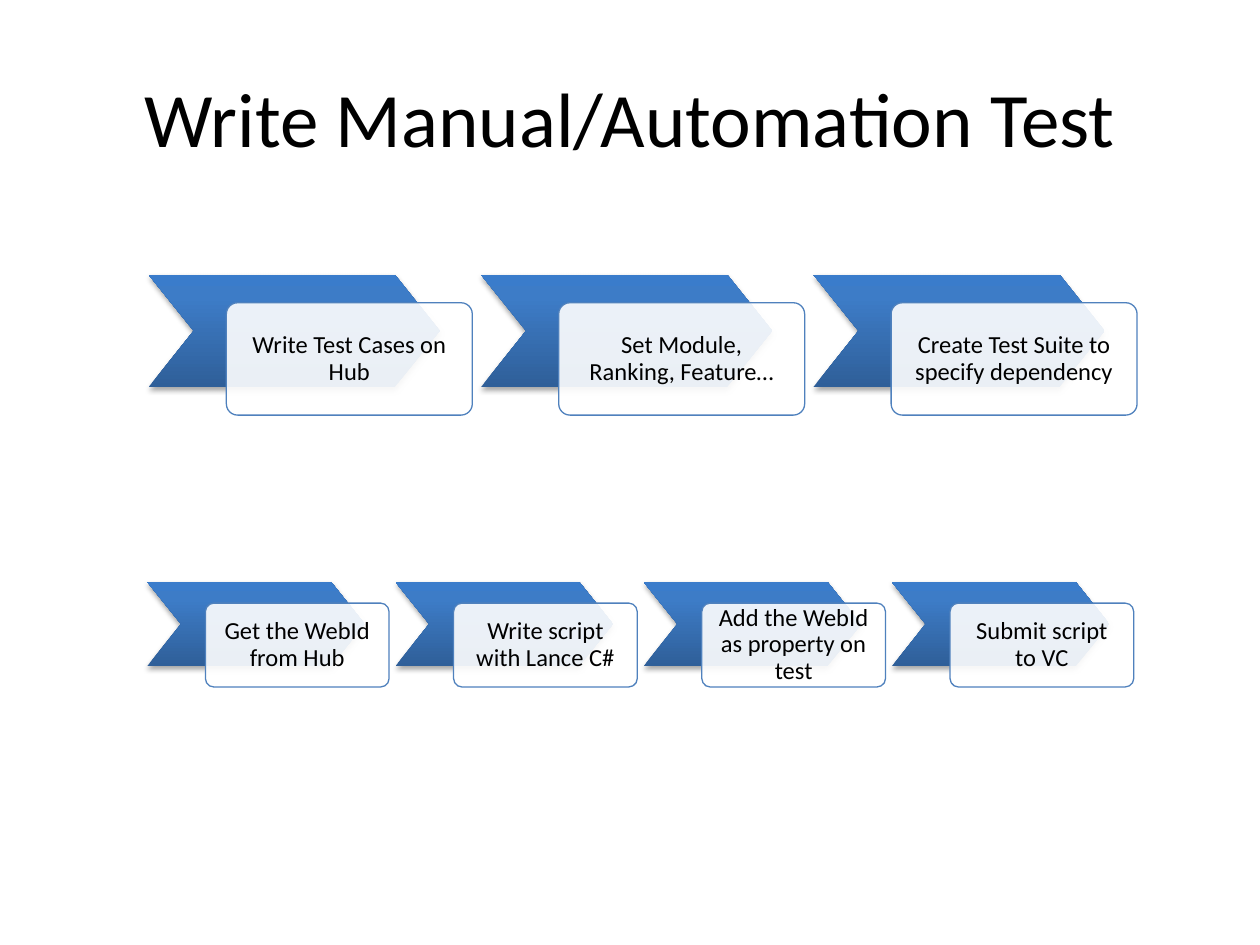
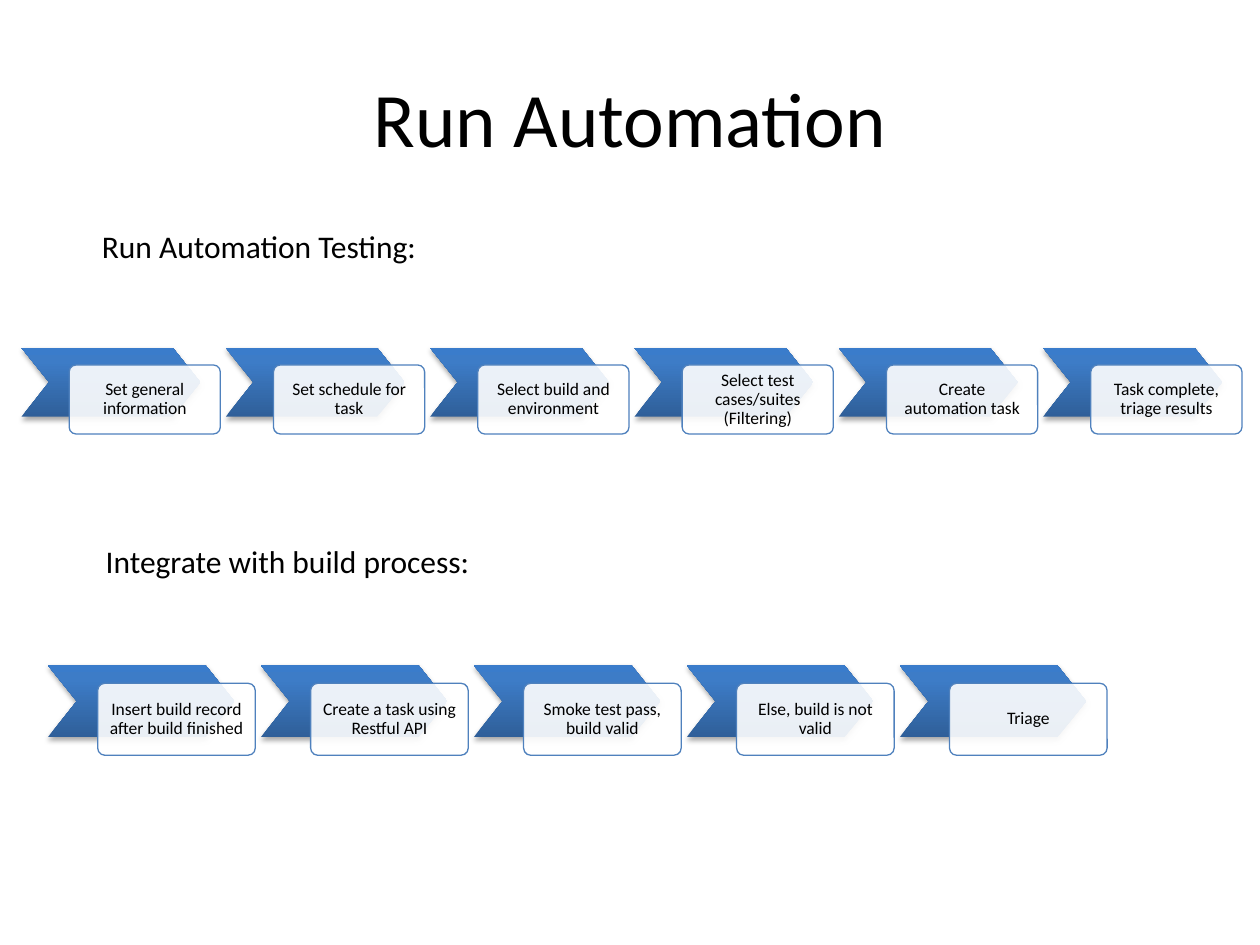
"""Build two slides of chevron process rows."""
import copy

import lxml.etree
import pptx
import pptx.dml.color
import pptx.enum.dml
import pptx.enum.shapes
import pptx.enum.text
import pptx.oxml
import pptx.oxml.ns
import pptx.util

Inches = pptx.util.Inches
Pt = pptx.util.Pt
SHAPES = pptx.enum.shapes.MSO_SHAPE
ALIGN = pptx.enum.text.PP_ALIGN
ANCHOR = pptx.enum.text.MSO_ANCHOR

SLIDES = [
    {
        "title": "Write Manual/Automation Test",
        "labels": [],
        "rows": [
            {"left": 1.18, "top": 2.18, "width": 2.31, "size": 14, "inset": 0.11, "steps": [
                "Write Test Cases on Hub",
                "Set Module, Ranking, Feature…",
                "Create Test Suite to specify dependency",
            ]},
            {"left": 1.17, "top": 4.62, "width": 1.725, "size": 14, "inset": 0.11, "steps": [
                "Get the WebId from Hub",
                "Write script with Lance C#",
                "Add the WebId as property on test",
                "Submit script to VC",
            ]},
        ],
    },
    {
        "title": "Run Automation",
        "labels": [
            ("Run Automation Testing:", 0.71, 1.75, 2.73),
            ("Integrate with build process:", 0.74, 4.25, 3.12),
        ],
        "rows": [
            {"left": 0.17, "top": 2.76, "width": 1.42, "size": 10, "inset": 0.08, "steps": [
                "Set general information",
                "Set schedule for task",
                "Select build and environment",
                "Select test cases/suites (Filtering)",
                "Create automation task",
                "Task complete, triage results",
            ]},
            {"left": 0.38, "top": 5.28, "width": 1.48, "size": 10, "inset": 0.08, "steps": [
                "Insert build record after build finished",
                "Create a task using Restful API",
                "Smoke test pass, build valid",
                "Else, build is not valid",
                "Triage",
            ]},
        ],
    },
]

TITLE_BOX = (0.5, 0.3, 9, 1.25)
LABEL_HEIGHT = 0.4
BLACK, WHITE, BORDER = "000000", "FFFFFF", "4F81BD"
GRADIENT = [(0, "2F5F99"), (0.8, "3D7CC7"), (1, "3A7CCB")]
PITCH, HEIGHT, BOX_WIDTH = 1.142, 0.386, 0.845
BOX_SHIFT, BOX_DROP = 0.267, 0.25
SHADOW = (
    f'<a:outerShdw {pptx.oxml.ns.nsdecls("a")} blurRad="{Pt(3.1)}" dist="{Pt(1.8)}" '
    'dir="5400000" rotWithShape="0"><a:srgbClr val="000000">'
    '<a:alpha val="35000"/></a:srgbClr></a:outerShdw>'
)


def color(value):
    """Return the colour for a hex string."""
    return pptx.dml.color.RGBColor.from_string(value)


def assign(target, values):
    """Set attributes from a dict."""
    for name, value in values.items():
        setattr(target, name, value)


def inches(*lengths):
    """Convert numbers to lengths."""
    return [Inches(length) for length in lengths]


def write(shape, text, size, frame_format, paragraph_format):
    """Fill a shape with one formatted paragraph."""
    frame = shape.text_frame
    frame.text = text
    assign(frame, frame_format)
    paragraph = frame.paragraphs[0]
    assign(paragraph, paragraph_format)
    font = paragraph.runs[0].font
    assign(font, {"size": Pt(size), "name": "Calibri"})
    font.color.rgb = color(BLACK)


def add_chevron(group, left, top, width, height):
    """Add a shaded chevron with a soft shadow."""
    chevron = group.shapes.add_shape(SHAPES.CHEVRON, *inches(left, top, width, height))
    chevron.adjustments[0] = 0.4
    chevron.line.fill.background()
    chevron.fill.gradient()
    chevron.fill.gradient_angle = 90
    properties = chevron._element.spPr
    stop_list = properties.find(".//" + pptx.oxml.ns.qn("a:gsLst"))
    stop_list.append(copy.deepcopy(stop_list[0]))
    for stop, (position, value) in zip(chevron.fill.gradient_stops, GRADIENT):
        stop.position = position
        stop.color.rgb = color(value)
    chevron.shadow.inherit = False
    effects = properties.find(pptx.oxml.ns.qn("a:effectLst"))
    effects.append(pptx.oxml.parse_xml(SHADOW))


def add_step_box(group, text, row, left, top, width, height):
    """Add the translucent rounded box that names a step."""
    box = group.shapes.add_shape(SHAPES.ROUNDED_RECTANGLE, *inches(left, top, width, height))
    box.adjustments[0] = 0.1
    box.shadow.inherit = False
    box.fill.solid()
    box.fill.fore_color.rgb = color(WHITE)
    fill_color = box._element.spPr.find(".//" + pptx.oxml.ns.qn("a:srgbClr"))
    lxml.etree.SubElement(fill_color, pptx.oxml.ns.qn("a:alpha"), val="90000")
    box.line.color.rgb = color(BORDER)
    box.line.width = Pt(0.75)
    frame_format = {f"margin_{side}": Inches(row["inset"])
                    for side in ("left", "top", "right", "bottom")}
    frame_format.update(word_wrap=True, vertical_anchor=ANCHOR.MIDDLE)
    write(box, text, row["size"], frame_format,
          {"alignment": ALIGN.CENTER, "line_spacing": 0.9})


def add_process(slide, row):
    """Add a row of evenly spaced chevron steps as one group."""
    group = slide.shapes.add_group_shape()
    top, width = row["top"], row["width"]
    height = HEIGHT * width
    for index, text in enumerate(row["steps"]):
        left = row["left"] + index * PITCH * width
        add_chevron(group, left, top, width, height)
        add_step_box(group, text, row, left + BOX_SHIFT * width,
                     top + BOX_DROP * height, BOX_WIDTH * width, height)


def add_slide(presentation, content):
    """Add a slide with its title, rows and labels."""
    slide = presentation.slides.add_slide(presentation.slide_layouts[5])
    title = slide.shapes.title
    assign(title, dict(zip(("left", "top", "width", "height"), inches(*TITLE_BOX))))
    write(title, content["title"], 44, {"vertical_anchor": ANCHOR.MIDDLE},
          {"alignment": ALIGN.CENTER})
    for row in content["rows"]:
        add_process(slide, row)
    for text, left, top, width in content["labels"]:
        label = slide.shapes.add_textbox(*inches(left, top, width, LABEL_HEIGHT))
        write(label, text, 18,
              {"word_wrap": False, "auto_size": pptx.enum.text.MSO_AUTO_SIZE.SHAPE_TO_FIT_TEXT},
              {"alignment": ALIGN.LEFT})


def main():
    """Build and save the presentation."""
    presentation = pptx.Presentation()
    assign(presentation, {"slide_width": Inches(10), "slide_height": Inches(7.5)})
    for content in SLIDES:
        add_slide(presentation, content)
    presentation.save("out.pptx")


if __name__ == "__main__":
    main()
